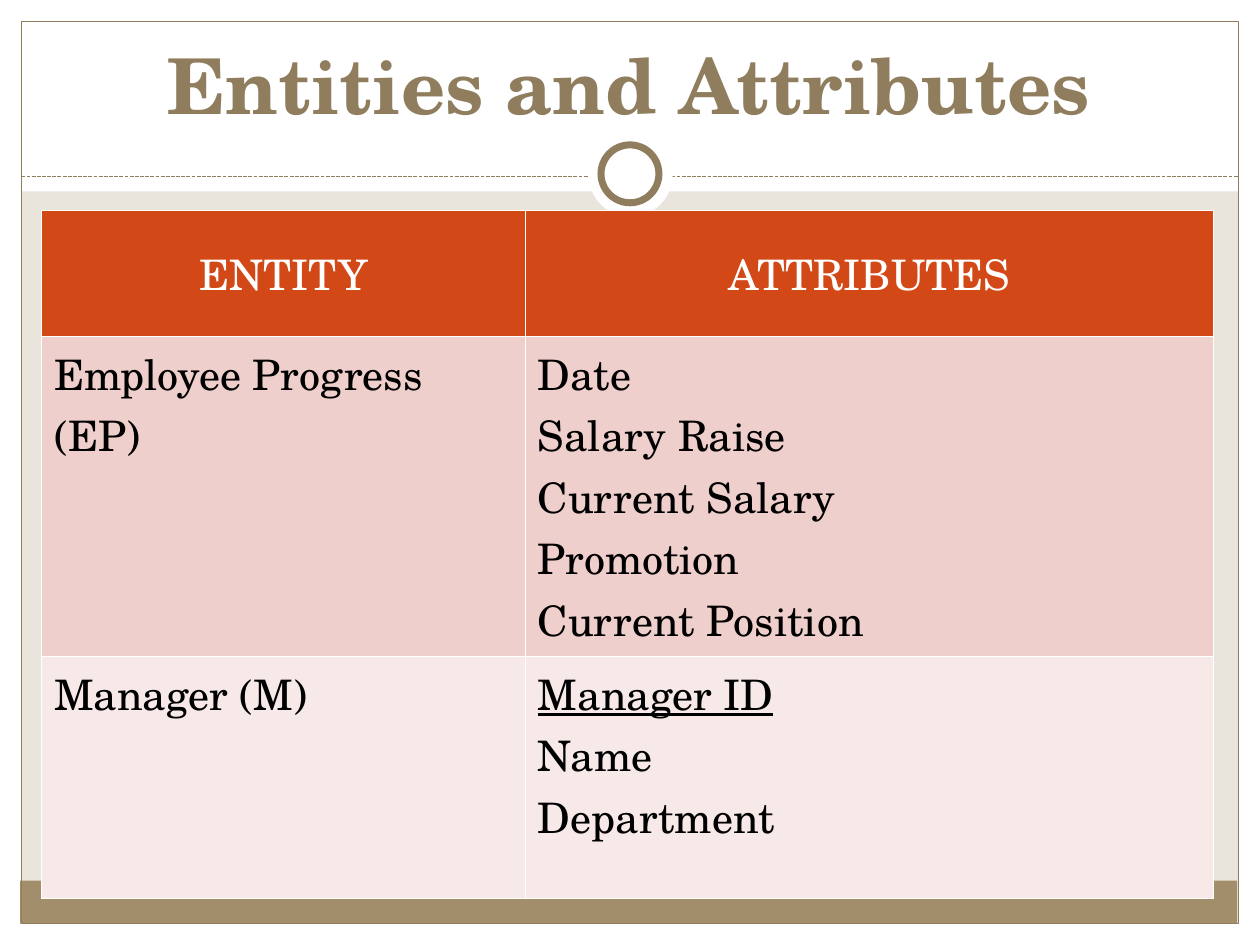
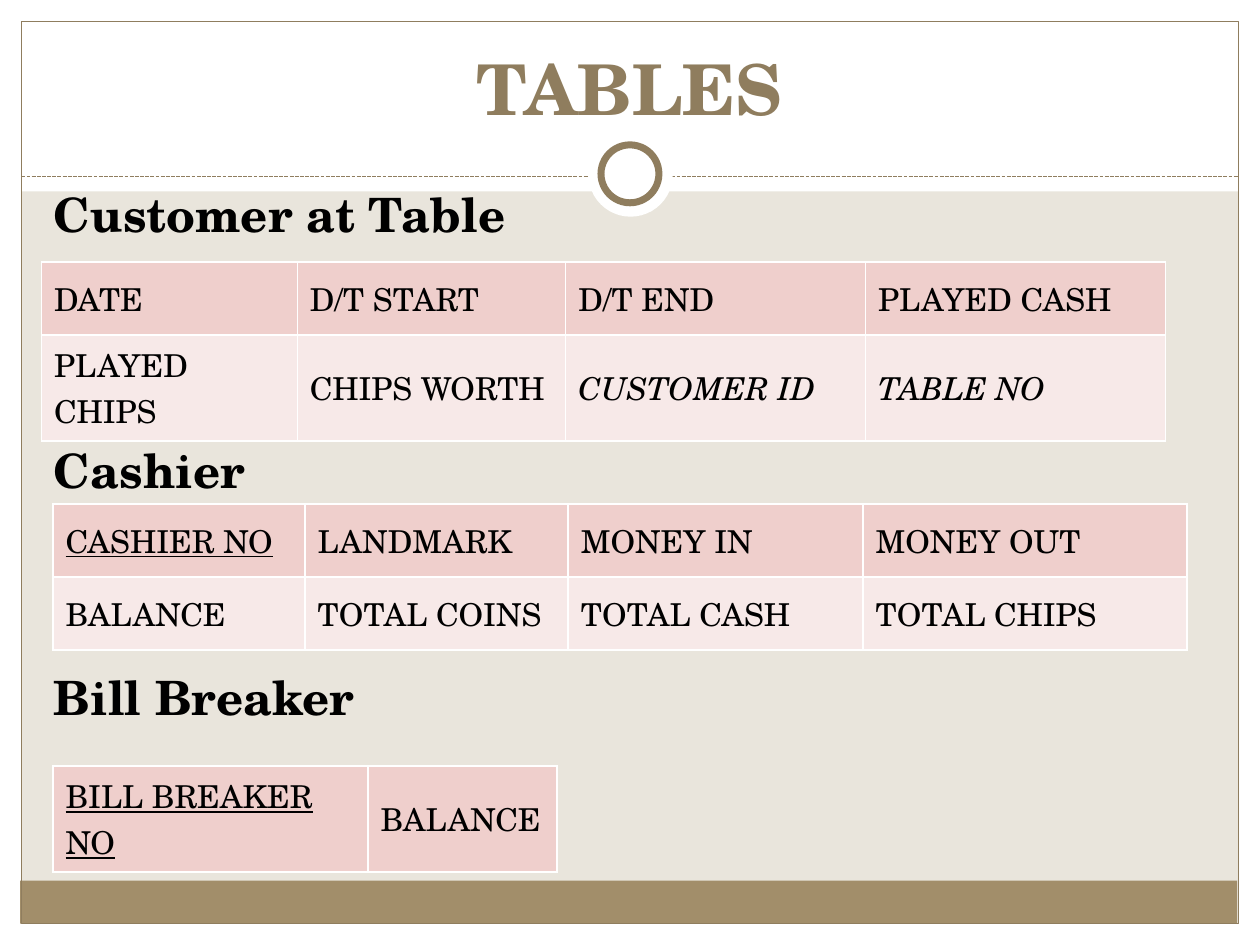
from dataclasses import dataclass

import pptx
import pptx.dml.color
import pptx.enum.dml
import pptx.enum.shapes
import pptx.enum.text
import pptx.oxml.ns
import pptx.util
from lxml import etree

Inches = pptx.util.Inches
Pt = pptx.util.Pt
RGBColor = pptx.dml.color.RGBColor
Kind = pptx.enum.shapes.MSO_SHAPE
Align = pptx.enum.text.PP_ALIGN
Anchor = pptx.enum.text.MSO_ANCHOR
qn = pptx.oxml.ns.qn

FONT = "TeX Gyre Schola"
BACK = RGBColor(0xE9, 0xE5, 0xDC)
WHITE = RGBColor(0xFF, 0xFF, 0xFF)
BLACK = RGBColor(0, 0, 0)
BROWN = RGBColor(0x8F, 0x7D, 0x5E)
TAN = RGBColor(0xA2, 0x8E, 0x6A)
ORANGE = RGBColor(0xD3, 0x48, 0x17)
PINK = RGBColor(0xEF, 0xCF, 0xCC)
PALE = RGBColor(0xF7, 0xE9, 0xE8)

WIDE, HIGH, EDGE = 10, 7.5, 0.17


@dataclass
class Part:
    kind: Kind
    box: tuple[float, float, float, float]
    fill: RGBColor | None = None
    line: float = 0


@dataclass
class Grid:
    left: float
    top: float
    cols: list[float]
    rows: list[float]
    cells: list[list[str]]
    size: float = 18
    head: bool = False
    anchor: Anchor = Anchor.MIDDLE
    under: tuple[str, ...] = ()
    slant: tuple[str, ...] = ()


# Frame shared by the slides, split by the dashed rule
BANDS = [
    Part(Kind.RECTANGLE, (0, HIGH - EDGE, WIDE, EDGE), WHITE),
    Part(Kind.RECTANGLE, (0, 0, WIDE, 1.52), WHITE),
    Part(Kind.RECTANGLE, (0, 0, EDGE, HIGH), WHITE),
    Part(Kind.RECTANGLE, (WIDE - EDGE, 0, EDGE, HIGH), WHITE),
    Part(Kind.RECTANGLE, (0.16, 6.99, 9.66, 0.34), TAN),
    Part(Kind.RECTANGLE, (EDGE, EDGE, WIDE - 2 * EDGE, HIGH - 2 * EDGE), line=0.75),
]
RING = [
    Part(Kind.OVAL, (4.67, 1.05, 0.67, 0.67), WHITE),
    Part(Kind.OVAL, (4.77, 1.15, 0.46, 0.46), WHITE, 4),
]


def draw(slide, part: Part) -> None:
    shape = slide.shapes.add_shape(part.kind, *map(Inches, part.box))
    shape.shadow.inherit = False
    if part.fill is None:
        shape.fill.background()
    else:
        shape.fill.solid()
        shape.fill.fore_color.rgb = part.fill
    if part.line:
        shape.line.color.rgb = BROWN
        shape.line.width = Pt(part.line)
    else:
        shape.line.fill.background()


def rule(slide) -> None:
    line = slide.shapes.add_connector(
        pptx.enum.shapes.MSO_CONNECTOR.STRAIGHT,
        Inches(EDGE), Inches(1.4), Inches(WIDE - EDGE), Inches(1.4))
    line.line.color.rgb = BROWN
    line.line.width = Pt(0.75)
    line.line.dash_style = pptx.enum.dml.MSO_LINE.SQUARE_DOT
    etree.SubElement(line._element.spPr, qn("a:effectLst"))


def style(para, size: float, color: RGBColor, bold: bool = False) -> None:
    font = para.font
    font.name, font.size, font.bold = FONT, Pt(size), bold
    font.color.rgb = color


def start(deck, title: str, size: float):
    """Add a slide with the shared frame and a title."""
    slide = deck.slides.add_slide(deck.slide_layouts[6])
    slide.background.fill.solid()
    slide.background.fill.fore_color.rgb = BACK
    for part in BANDS:
        draw(slide, part)
    rule(slide)
    for part in RING:
        draw(slide, part)
    box = slide.shapes.add_textbox(
        Inches(0.33), Inches(0.25), Inches(9.33), Inches(0.83))
    frame = box.text_frame
    frame.word_wrap = True
    frame.vertical_anchor = Anchor.BOTTOM
    para = frame.paragraphs[0]
    para.text = title
    para.alignment = Align.CENTER
    style(para, size, BROWN, True)
    return slide


def border(cell) -> None:
    props = cell._tc.get_or_add_tcPr()
    for spot, side in enumerate(("a:lnL", "a:lnR", "a:lnT", "a:lnB")):
        line = etree.Element(qn(side), w=str(Pt(1)))
        fill = etree.SubElement(line, qn("a:solidFill"))
        etree.SubElement(fill, qn("a:srgbClr"), val=str(WHITE))
        props.insert(spot, line)


def table(slide, grid: Grid) -> None:
    item = slide.shapes.add_table(
        len(grid.rows), len(grid.cols), Inches(grid.left), Inches(grid.top),
        Inches(sum(grid.cols)), Inches(sum(grid.rows))).table
    item.first_row = item.horz_banding = False
    for col, width in zip(item.columns, grid.cols):
        col.width = Inches(width)
    for r, (row, height) in enumerate(zip(item.rows, grid.rows)):
        row.height = Inches(height)
        top = grid.head and r == 0
        # Body rows alternate, starting with the darker pink
        fill = ORANGE if top else (PINK, PALE)[(r - grid.head) % 2]
        for cell, text in zip(row.cells, grid.cells[r]):
            cell.fill.solid()
            cell.fill.fore_color.rgb = fill
            border(cell)
            cell.vertical_anchor = Anchor.MIDDLE if top else grid.anchor
            cell.text = text
            for para in cell.text_frame.paragraphs:
                style(para, grid.size, WHITE if top else BLACK)
                para.alignment = Align.CENTER if top else Align.LEFT
                para.font.underline = para.text in grid.under
                para.font.italic = para.text in grid.slant


def heads(slide, items: list[tuple[str, float]]) -> None:
    """Write table headings, each with the gap above it in points."""
    box = slide.shapes.add_textbox(
        Inches(0.33), Inches(1.47), Inches(9.3), Inches(5.45))
    frame = box.text_frame
    frame.word_wrap = True
    frame.margin_top = 0
    for spot, (text, gap) in enumerate(items):
        para = frame.add_paragraph() if spot else frame.paragraphs[0]
        para.text = text
        para.space_before = Pt(gap)
        style(para, 27, BLACK, True)


deck = pptx.Presentation()
deck.slide_width, deck.slide_height = Inches(WIDE), Inches(HIGH)

# Slide 1: entities
slide = start(deck, "Entities and Attributes", 44)
table(slide, Grid(
    0.33, 1.67, [3.84, 5.46], [1, 2.54, 1.92],
    [["ENTITY", "ATTRIBUTES"],
     ["Employee Progress (EP)",
      "Date\nSalary Raise\nCurrent Salary\nPromotion\nCurrent Position"],
     ["Manager (M)", "Manager ID\nName\nDepartment"]],
    size=24, head=True, anchor=Anchor.TOP, under=("Manager ID",)))

# Slide 2: table layouts
slide = start(deck, "TABLES", 40)
heads(slide, [("Customer at Table", 0), ("Cashier", 114), ("Bill Breaker", 97)])
for grid in (
    Grid(0.42, 6.08, [2.5, 1.5], [0.84],
         [["BILL BREAKER NO", "BALANCE"]], under=("BILL BREAKER NO",)),
    Grid(0.42, 4, [2, 2.09, 2.34, 2.57], [0.58] * 2,
         [["CASHIER NO", "LANDMARK", "MONEY IN", "MONEY OUT"],
          ["BALANCE", "TOTAL COINS", "TOTAL CASH", "TOTAL CHIPS"]],
         under=("CASHIER NO",)),
    Grid(0.33, 2.08, [2.03, 2.13, 2.38, 2.38], [0.58, 0.84],
         [["DATE", "D/T START", "D/T END", "PLAYED CASH"],
          ["PLAYED CHIPS", "CHIPS WORTH", "CUSTOMER ID", "TABLE NO"]],
         slant=("CUSTOMER ID", "TABLE NO")),
):
    table(slide, grid)

deck.save("out.pptx")
